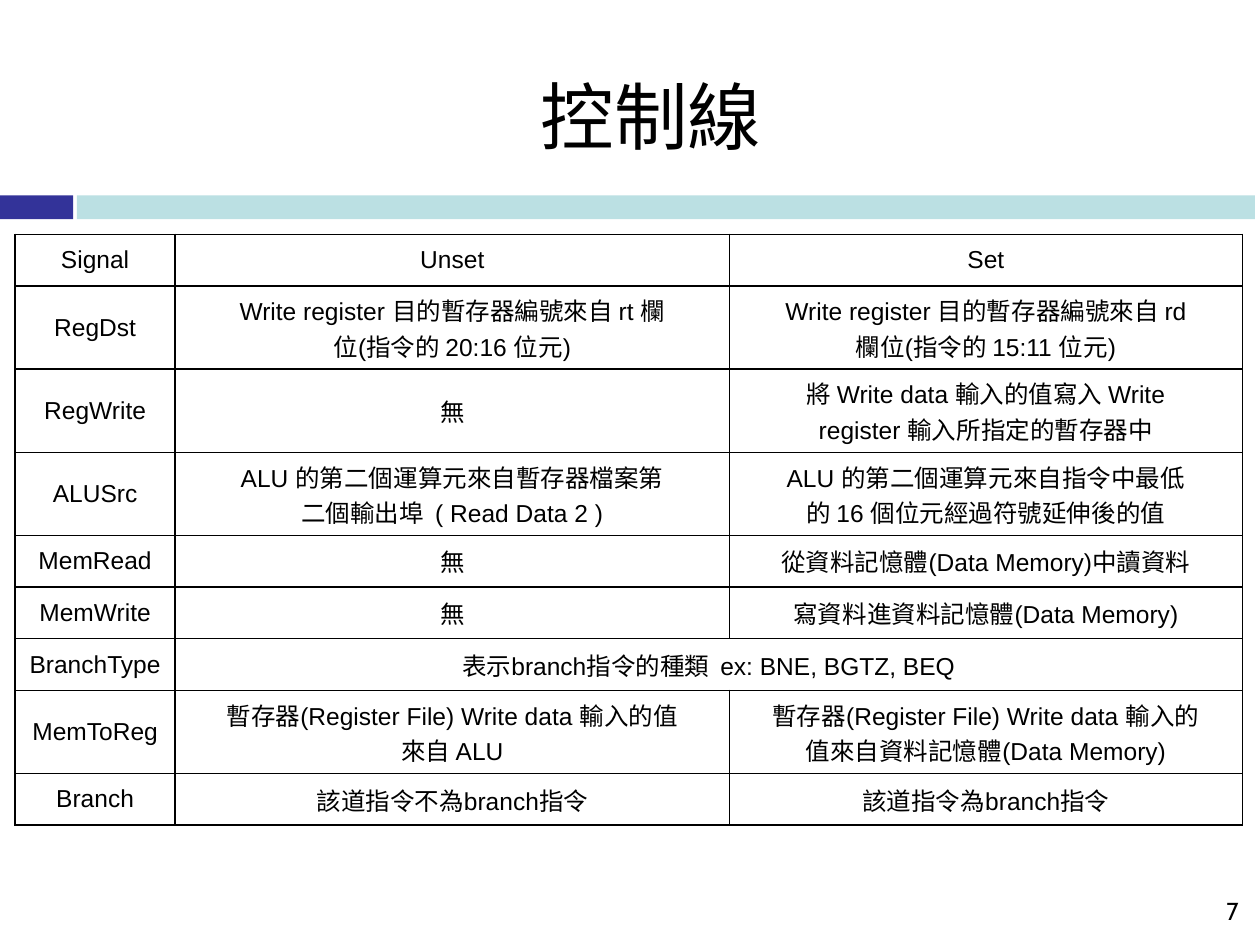
from lxml import etree
from pptx import Presentation
from pptx import util as u
from pptx.dml.color import RGBColor
from pptx.enum import shapes, text
from pptx.oxml.ns import qn

INK = {"black": "000000", "white": "FFFFFF", "navy": "333399", "aqua": "BBE0E3"}
CJK = "Noto Sans CJK SC"
MID = text.PP_ALIGN.CENTER


def write(frame, words, size, font, align=MID):
    """Fill a text frame, one paragraph for each line of words."""
    frame.word_wrap = True
    frame.text = words
    for para in frame.paragraphs:
        para.alignment = align
        para.font.size = u.Pt(size)
        para.font.name = font
        para.font.color.rgb = RGBColor.from_string(INK["black"])
        base = para._p.pPr.find(qn("a:defRPr"))
        etree.SubElement(base, qn("a:ea"), typeface=CJK)


def edge(cell):
    """Draw a thin black line on all four sides of a cell."""
    props = cell._tc.get_or_add_tcPr()
    for side in ("lnL", "lnR", "lnT", "lnB"):
        line = etree.SubElement(props, qn(f"a:{side}"), w=str(u.Pt(1)))
        fill = etree.SubElement(line, qn("a:solidFill"))
        etree.SubElement(fill, qn("a:srgbClr"), val=INK["black"])


deck = Presentation()
deck.slide_width, deck.slide_height = u.Inches(10), u.Inches(7.5)
slide = deck.slides.add_slide(deck.slide_layouts[6])

# Divider under the title
for left, width, tone in ((0, 0.58, "navy"), (0.61, 9.35, "aqua")):
    bar = slide.shapes.add_shape(
        shapes.MSO_SHAPE.RECTANGLE,
        u.Inches(left), u.Inches(1.55), u.Inches(width), u.Inches(0.19))
    bar.shadow.inherit = False
    bar.fill.solid()
    bar.fill.fore_color.rgb = RGBColor.from_string(INK[tone])
    bar.line.fill.background()

# Title and page number
title = slide.shapes.add_textbox(
    u.Inches(1.22), u.Inches(0.29), u.Inches(7.89), u.Inches(1.25))
write(title.text_frame, "控制線", 42, CJK)
title.text_frame.vertical_anchor = text.MSO_ANCHOR.MIDDLE

page = slide.shapes.add_textbox(
    u.Inches(7.6), u.Inches(7.06), u.Inches(2.33), u.Inches(0.36))
write(page.text_frame, "7", 14, "Cabin", text.PP_ALIGN.RIGHT)

# Control signals: name, meaning when unset, meaning when set
rows = [
    ("Signal", "Unset", "Set"),
    ("RegDst",
     "Write register 目的暫存器編號來自 rt 欄\n位(指令的 20:16 位元)",
     "Write register 目的暫存器編號來自 rd\n欄位(指令的 15:11 位元)"),
    ("RegWrite", "無",
     "將 Write data 輸入的值寫入 Write\nregister 輸入所指定的暫存器中"),
    ("ALUSrc",
     "ALU 的第二個運算元來自暫存器檔案第\n二個輸出埠  ( Read Data 2 )",
     "ALU 的第二個運算元來自指令中最低\n的 16 個位元經過符號延伸後的值"),
    ("MemRead", "無", "從資料記憶體(Data Memory)中讀資料"),
    ("MemWrite", "無", "寫資料進資料記憶體(Data Memory)"),
    ("BranchType", "表示branch指令的種類  ex: BNE, BGTZ, BEQ"),
    ("MemToReg",
     "暫存器(Register File) Write data 輸入的值\n來自 ALU",
     "暫存器(Register File) Write data 輸入的\n值來自資料記憶體(Data Memory)"),
    ("Branch", "該道指令不為branch指令", "該道指令為branch指令"),
]
cols = (1.27, 4.4, 4.07)
highs = [0.66 if any("\n" in words for words in row) else 0.41 for row in rows]

grid = slide.shapes.add_table(
    len(rows), len(cols), u.Inches(0.12), u.Inches(1.86),
    u.Inches(sum(cols)), u.Inches(sum(highs))).table
grid.first_row = grid.horz_banding = False
for col, width in zip(grid.columns, cols):
    col.width = u.Inches(width)

for r, (row, high) in enumerate(zip(rows, highs)):
    grid.rows[r].height = u.Inches(high)
    if len(row) < len(cols):
        grid.cell(r, len(row) - 1).merge(grid.cell(r, len(cols) - 1))
    for c in range(len(cols)):
        cell = grid.cell(r, c)
        edge(cell)
        cell.fill.solid()
        cell.fill.fore_color.rgb = RGBColor.from_string(INK["white"])
        cell.vertical_anchor = text.MSO_ANCHOR.MIDDLE
        if c < len(row):
            write(cell.text_frame, row[c], 14, "Arial")

deck.save("out.pptx")
